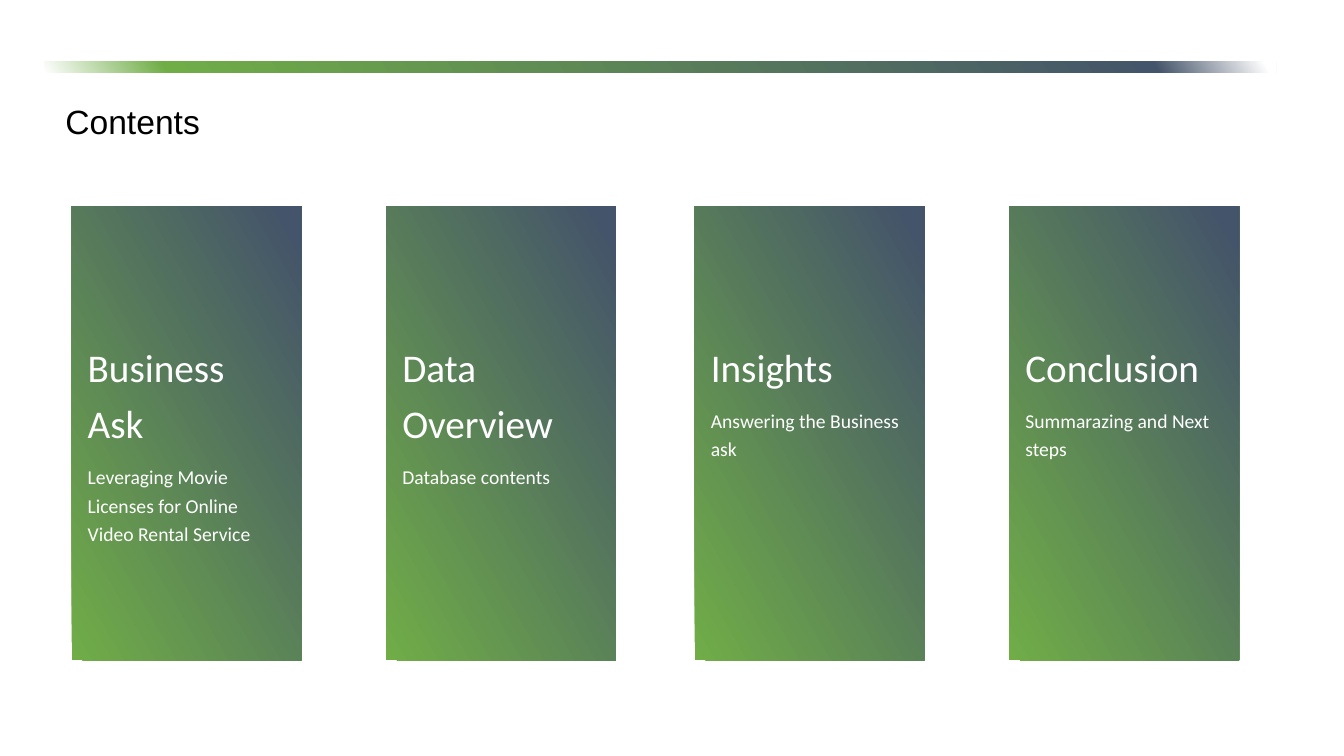
from lxml import etree
from pptx import Presentation
from pptx.dml.color import RGBColor
from pptx.enum.shapes import MSO_SHAPE
from pptx.enum.text import MSO_ANCHOR, PP_ALIGN
from pptx.oxml.ns import qn
from pptx.util import Pt

RECTANGLE = MSO_SHAPE.RECTANGLE
TOP = MSO_ANCHOR.TOP
LEFT = PP_ALIGN.LEFT
PX = 9144  # EMU per px, 100 px to the inch

THEME = {
    "white": "FFFFFF", "black": "000000", "green": "70AD47", "navy": "44546A",
    "title_font": "Arial", "card_font": "Calibri",
    "title_size": 24, "heading_size": 28, "body_size": 14,
}


def add_gradient_box(page, left, top, width, height, stops):
    """Add a borderless rectangle whose gradient rises to the right."""
    box = page.shapes.add_shape(RECTANGLE, left * PX, top * PX, width * PX, height * PX)
    box.shadow.inherit = False
    box.line.fill.background()
    box.fill.gradient()
    box.fill.gradient_angle = 30
    stop_list = box._element.spPr.find(".//" + qn("a:gsLst"))
    for stop in list(stop_list):
        stop_list.remove(stop)
    for percent, color in stops:
        stop = etree.SubElement(stop_list, qn("a:gs"), pos=str(percent * 1000))
        etree.SubElement(stop, qn("a:srgbClr"), val=THEME[color])
    return box


def add_span(para, text, font, size, color):
    """Add one formatted run to a paragraph."""
    para.alignment = LEFT
    span = para.add_run()
    span.text = text
    span.font.name = THEME[font]
    span.font.size = Pt(THEME[size])
    span.font.color.rgb = RGBColor.from_string(THEME[color])


deck = Presentation()
deck.slide_width = 1333 * PX
deck.slide_height = 750 * PX
page = deck.slides.add_slide(deck.slide_layouts[6])

# Rule across the top, fading out at both ends
add_gradient_box(page, 44, 61, 1222, 11,
                 [(0, "white"), (10, "green"), (90, "navy"), (99, "white")])

# Content cards
cards = [
    (71, "Business Ask", "Leveraging Movie Licenses for Online Video Rental Service"),
    (383, "Data Overview", "Database contents"),
    (689, "Insights", "Answering the Business ask"),
    (1001, "Conclusion", "Summarazing and Next steps"),
]
for left, heading, body in cards:
    card = add_gradient_box(page, left, 205, 228, 450, [(0, "green"), (96, "navy")])
    frame = card.text_frame
    frame.word_wrap = True
    frame.vertical_anchor = TOP
    frame.margin_left = frame.margin_right = frame.margin_bottom = 16 * PX
    frame.margin_top = 126 * PX
    add_span(frame.paragraphs[0], heading, "card_font", "heading_size", "white")
    add_span(frame.add_paragraph(), body, "card_font", "body_size", "white")
    for para in frame.paragraphs:
        para.line_spacing = 1.2
        para.space_after = Pt(10)

# Slide title
title = page.shapes.add_textbox(55 * PX, 95 * PX, 260 * PX, 50 * PX)
title.text_frame.word_wrap = True
add_span(title.text_frame.paragraphs[0], "Contents", "title_font", "title_size", "black")

deck.save("out.pptx")
